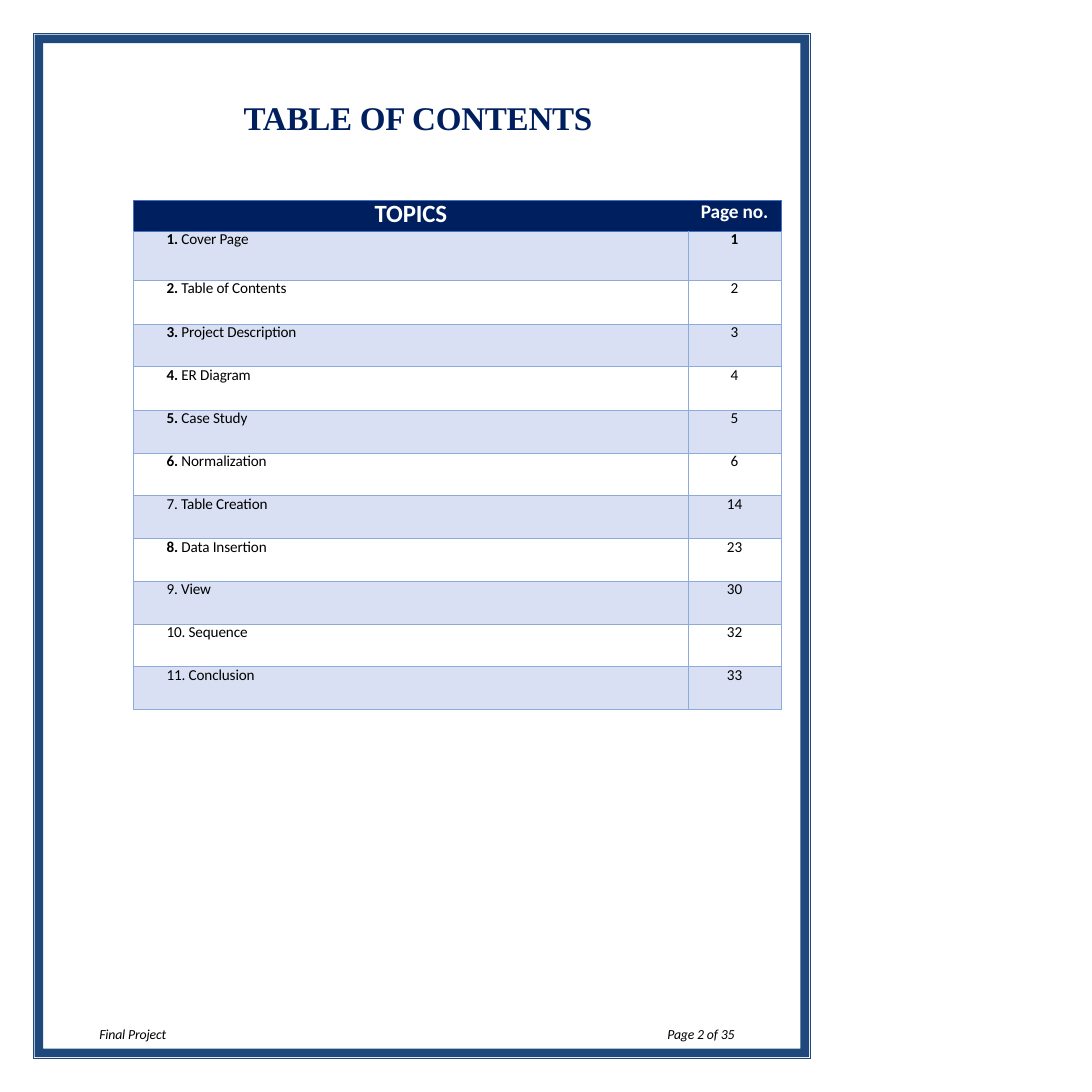
from lxml import etree
from pptx import Presentation
from pptx.dml.color import RGBColor
from pptx.enum.shapes import MSO_SHAPE
from pptx.enum.text import PP_ALIGN
from pptx.oxml.ns import qn
from pptx.util import Pt

LEFT, CENTER = PP_ALIGN.LEFT, PP_ALIGN.CENTER
FRAME = MSO_SHAPE.FRAME
COLORS = {
    "navy": "001F5F", "frame": "1F487C", "band": "D9E0F3", "grid": "8EAADB",
    "header_grid": "4470C4", "white": "FFFFFF", "black": "000000",
}
COLUMN_WIDTHS = [402, 67.6]
ROW_HEIGHTS = [22.2, 35.2, 32, 30.9, 31.7] + [31] * 7
TOPICS = [
    ("1.", "Cover Page", 1), ("2.", "Table of Contents", 2),
    ("3.", "Project Description", 3), ("4.", "ER Diagram", 4),
    ("5.", "Case Study", 5), ("6.", "Normalization", 6),
    ("7.", "Table Creation", 14), ("8.", "Data Insertion", 23),
    ("9.", "View", 30), ("10.", "Sequence", 32), ("11.", "Conclusion", 33),
]
PLAIN_NUMBERS = {"7.", "9.", "10.", "11."}


def color(name):
    """Return the named colour."""
    return RGBColor.from_string(COLORS[name])


def write(para, spans, size, ink="black", face="Calibri", align=LEFT,
          pitch=None, indent=0, tracking=-0.1):
    """Write (text, bold) spans into a paragraph."""
    para.alignment = align
    para.font.name, para.font.size = face, Pt(size)
    para.font.color.rgb = color(ink)
    if pitch:
        para.line_spacing = Pt(pitch)
    if indent:
        para._p.get_or_add_pPr().set("marL", str(Pt(indent)))
    for text, bold in spans:
        span = para.add_run()
        span.text, span.font.bold = text, bold
        span._r.get_or_add_rPr().set("spc", str(round(tracking * 100)))


def add_text(page, left, top, width, height):
    """Add a text box without margins and return its paragraph."""
    frame = page.shapes.add_textbox(Pt(left), Pt(top), Pt(width), Pt(height)).text_frame
    frame.word_wrap = True
    frame.margin_left = frame.margin_right = frame.margin_top = frame.margin_bottom = 0
    return frame.paragraphs[0]


def add_footer(page, left, text):
    """Add one italic footer line."""
    para = add_text(page, left, 745.2, 54, 12.2)
    write(para, [(text, False)], 10, pitch=10.4, indent=1)
    para.font.italic = True


def add_frame(page, inset, thickness):
    """Add a frame at an inset from the 612 by 792 sheet edge."""
    width, height = 612 - 2 * inset, 792 - 2 * inset
    box = page.shapes.add_shape(FRAME, Pt(inset), Pt(inset), Pt(width), Pt(height))
    box.adjustments[0] = thickness / width
    box.shadow.inherit = False
    box.fill.solid()
    box.fill.fore_color.rgb = color("frame")
    box.line.fill.background()


def set_border(cell, side, ink):
    """Draw one cell border, or hide it when there is no ink."""
    line = etree.SubElement(cell._tc.get_or_add_tcPr(), qn("a:ln" + side), w=str(Pt(0.5)))
    if ink:
        fill = etree.SubElement(line, qn("a:solidFill"))
        etree.SubElement(fill, qn("a:srgbClr"), val=COLORS[ink])
    else:
        etree.SubElement(line, qn("a:noFill"))


def style_cell(cell, row, column):
    """Set the margins, borders and fill of a cell."""
    cell.margin_left = cell.margin_right = cell.margin_top = cell.margin_bottom = 0
    header = row == 0
    side_ink = "header_grid" if header else "grid"
    inner_ink = None if header else "grid"
    set_border(cell, "L", inner_ink if column else side_ink)
    set_border(cell, "R", side_ink if column else inner_ink)
    set_border(cell, "T", "header_grid" if row < 2 else "grid")
    set_border(cell, "B", side_ink)
    if header or row % 2:
        cell.fill.solid()
        cell.fill.fore_color.rgb = color("navy" if header else "band")
    else:
        cell.fill.background()


def add_contents(page):
    """Add the table of topics and page numbers."""
    table = page.shapes.add_table(
        len(ROW_HEIGHTS), len(COLUMN_WIDTHS), Pt(97), Pt(145.6),
        Pt(sum(COLUMN_WIDTHS)), Pt(sum(ROW_HEIGHTS))).table
    for column, width in enumerate(COLUMN_WIDTHS):
        table.columns[column].width = Pt(width)
    for row, height in enumerate(ROW_HEIGHTS):
        table.rows[row].height = Pt(height)
        for column in range(len(COLUMN_WIDTHS)):
            style_cell(table.cell(row, column), row, column)
    headings = [("TOPICS", 18, 20.6), ("Page no.", 14, 16.7)]
    for column, (text, size, pitch) in enumerate(headings):
        para = table.cell(0, column).text_frame.paragraphs[0]
        write(para, [(text, True)], size, "white", align=CENTER, pitch=pitch)
    for row, (number, topic, page_number) in enumerate(TOPICS, 1):
        topic_para, page_para = (
            table.cell(row, column).text_frame.paragraphs[0] for column in (0, 1))
        spans = [(number + " ", number not in PLAIN_NUMBERS), (topic, False)]
        write(topic_para, spans, 11, pitch=12.9, indent=23.8)
        write(page_para, [(str(page_number), row == 1)], 11, align=CENTER,
              pitch=12.9, tracking=0)


def main():
    """Build the contents page."""
    deck = Presentation()
    deck.slide_width = deck.slide_height = Pt(792)
    page = deck.slides.add_slide(deck.slide_layouts[6])
    title = add_text(page, 175.7, 70.5, 262, 31)
    write(title, [("TABLE OF CONTENTS", True)], 24, "navy", "Times New Roman",
          indent=1, tracking=-0.2)
    title.space_before = Pt(1)
    add_contents(page)
    add_frame(page, 25.2, 6.2)
    add_frame(page, 24, 0.5)
    add_footer(page, 71, "Final Project")
    add_footer(page, 483, "Page 2 of 35")
    deck.save("out.pptx")


if __name__ == "__main__":
    main()
